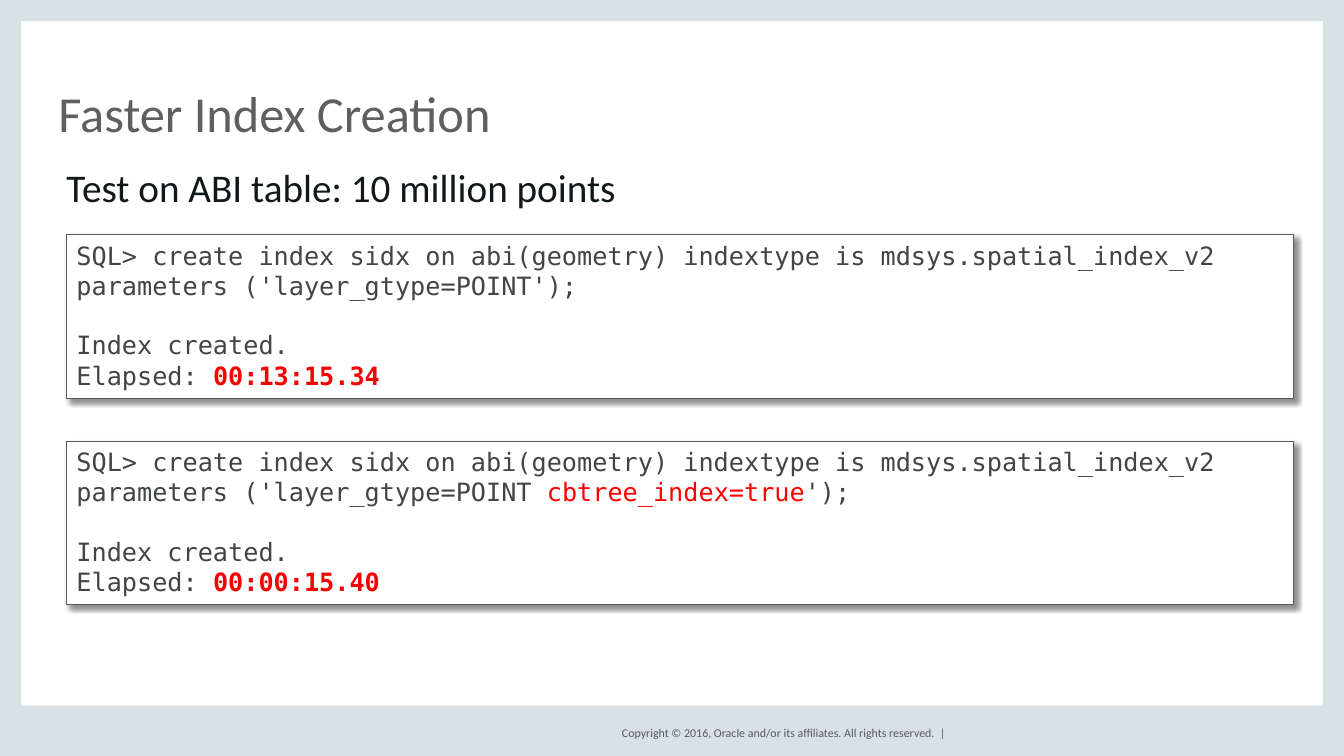
import pptx
import pptx.util
import pptx.dml.color
import pptx.enum.shapes
import pptx.enum.text
import pptx.oxml
import pptx.oxml.ns

Inches, Pt = pptx.util.Inches, pptx.util.Pt
ANCHOR, ALIGN = pptx.enum.text.MSO_ANCHOR, pptx.enum.text.PP_ALIGN
SANS, MONO = "Calibri", "DejaVu Sans Mono"
INK, RED = "424545", "F80000"


def color(text):
    return pptx.dml.color.RGBColor.from_string(text)


def add_run(para, text, size, font, ink, bold=False):
    run = para.add_run()
    run.text = text
    run.font.size = Pt(size)
    run.font.name = font
    run.font.bold = bold
    run.font.color.rgb = color(ink)


def add_rect(slide, box, fill):
    shape = slide.shapes.add_shape(
        pptx.enum.shapes.MSO_SHAPE.RECTANGLE, *map(Inches, box))
    shape.shadow.inherit = False
    shape.fill.solid()
    shape.fill.fore_color.rgb = color(fill)
    shape.line.fill.background()
    return shape


def add_label(slide, box, text, size, ink, anchor=ANCHOR.TOP,
              align=ALIGN.LEFT, space=1.0):
    frame = slide.shapes.add_textbox(*map(Inches, box)).text_frame
    frame.word_wrap = True
    frame.vertical_anchor = anchor
    frame.margin_left = frame.margin_right = 0
    frame.margin_top = frame.margin_bottom = 0
    para = frame.paragraphs[0]
    para.alignment = align
    para.line_spacing = space
    add_run(para, text, size, SANS, ink)


def add_shadow(shape):
    effects = shape._element.spPr.find(pptx.oxml.ns.qn("a:effectLst"))
    effects.append(pptx.oxml.parse_xml(
        f'<a:outerShdw {pptx.oxml.ns.nsdecls("a")} blurRad="{Pt(4)}" '
        f'dist="{Pt(3)}" dir="{45 * 60000}" algn="tl" rotWithShape="0">'
        '<a:srgbClr val="000000"><a:alpha val="43000"/></a:srgbClr>'
        '</a:outerShdw>'))


def add_frame(slide, width, height):
    side, foot = 0.21, 0.5
    for box in ((0, 0, side, height), (width - side, 0, side, height),
                (0, height - foot, width, foot), (0, 0, width, side)):
        add_rect(slide, box, "D8E1E6")
    add_label(slide, (5.88, height - 0.33, 3.5, 0.2),
              "Copyright © 2016, Oracle and/or its affiliates. "
              "All rights reserved.  |",
              8.5, "58595B", ANCHOR.MIDDLE, ALIGN.RIGHT)


def add_code(slide, box, query, time):
    shape = add_rect(slide, box, "FFFFFF")
    shape.line.color.rgb = color("58595B")
    shape.line.width = Pt(0.75)
    add_shadow(shape)
    frame = shape.text_frame
    frame.word_wrap = True
    frame.vertical_anchor = ANCHOR.TOP
    lines = [query, [("Index created.", INK)],
             [("Elapsed: ", INK), (time, RED, True)]]
    for row, parts in enumerate(lines):
        para = frame.add_paragraph() if row else frame.paragraphs[0]
        para.alignment = ALIGN.LEFT
        if row == 1:
            para.space_before = Pt(21)  # one line between query and reply
        for text, *look in parts:
            add_run(para, text, 18, MONO, *look)


def main():
    deck = pptx.Presentation()
    width, height = 13.33, 7.5
    deck.slide_width, deck.slide_height = Inches(width), Inches(height)
    slide = deck.slides.add_slide(deck.slide_layouts[6])

    # Border and footer
    add_frame(slide, width, height)

    # Headings
    add_label(slide, (0.58, 0.44, 12.17, 0.97), "Faster Index Creation",
              36, "5F5F5F", ANCHOR.BOTTOM, space=0.8)
    add_label(slide, (0.66, 1.67, 11.17, 0.43),
              "Test on ABI table: 10 million points", 28, "10181A", space=0.9)

    # Timed statements
    start = ("SQL> create index sidx on abi(geometry) indextype is "
             "mdsys.spatial_index_v2 parameters ('layer_gtype=POINT")
    tests = [
        ([(start + "');", INK)], "00:13:15.34"),
        ([(start + " ", INK), ("cbtree_index=true", "FF0000"), ("');", INK)],
         "00:00:15.40"),
    ]
    for row, (query, time) in enumerate(tests):
        add_code(slide, (0.66, 2.33 + 2.05 * row, 12.17, 1.62), query, time)

    deck.save("out.pptx")


if __name__ == "__main__":
    main()
